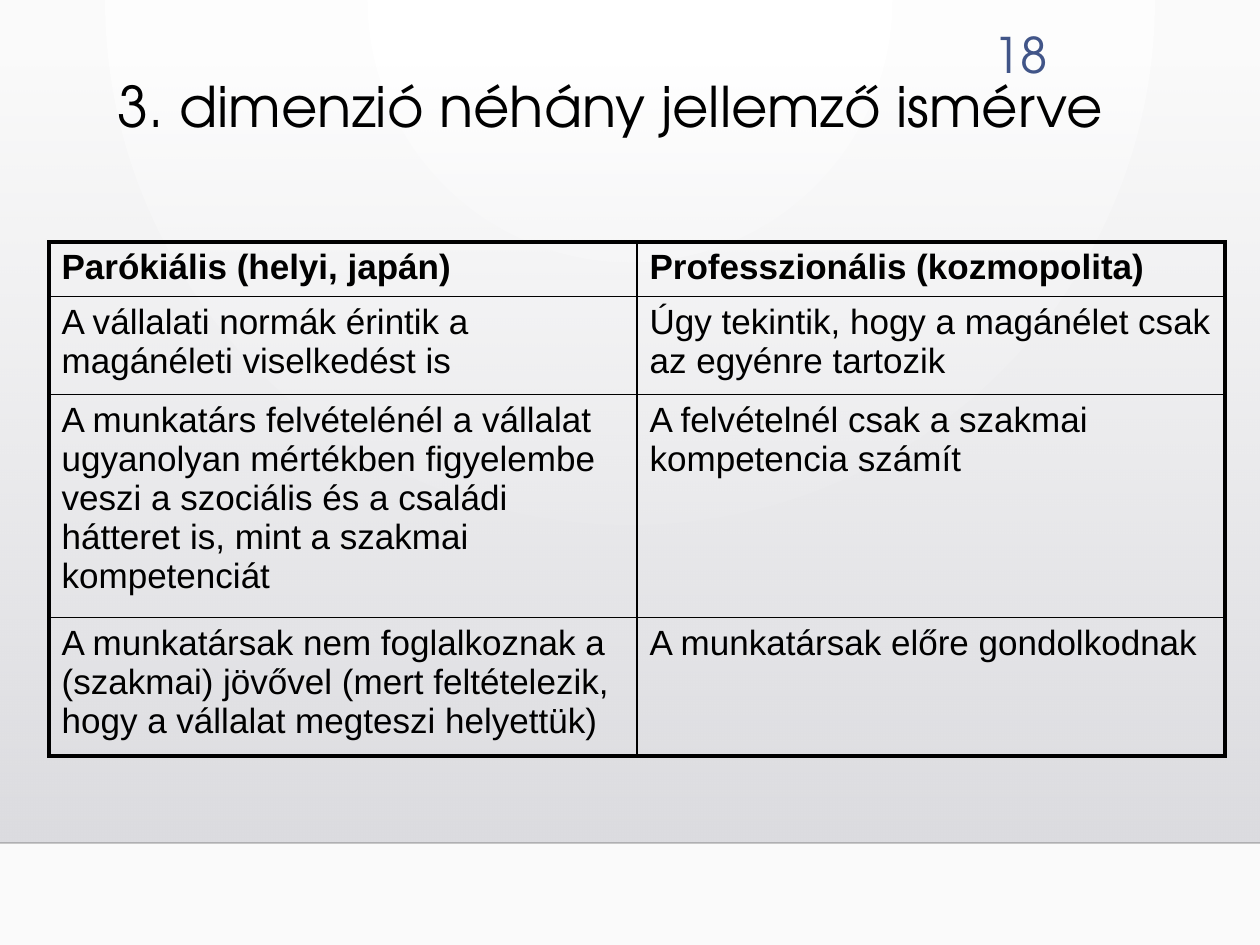
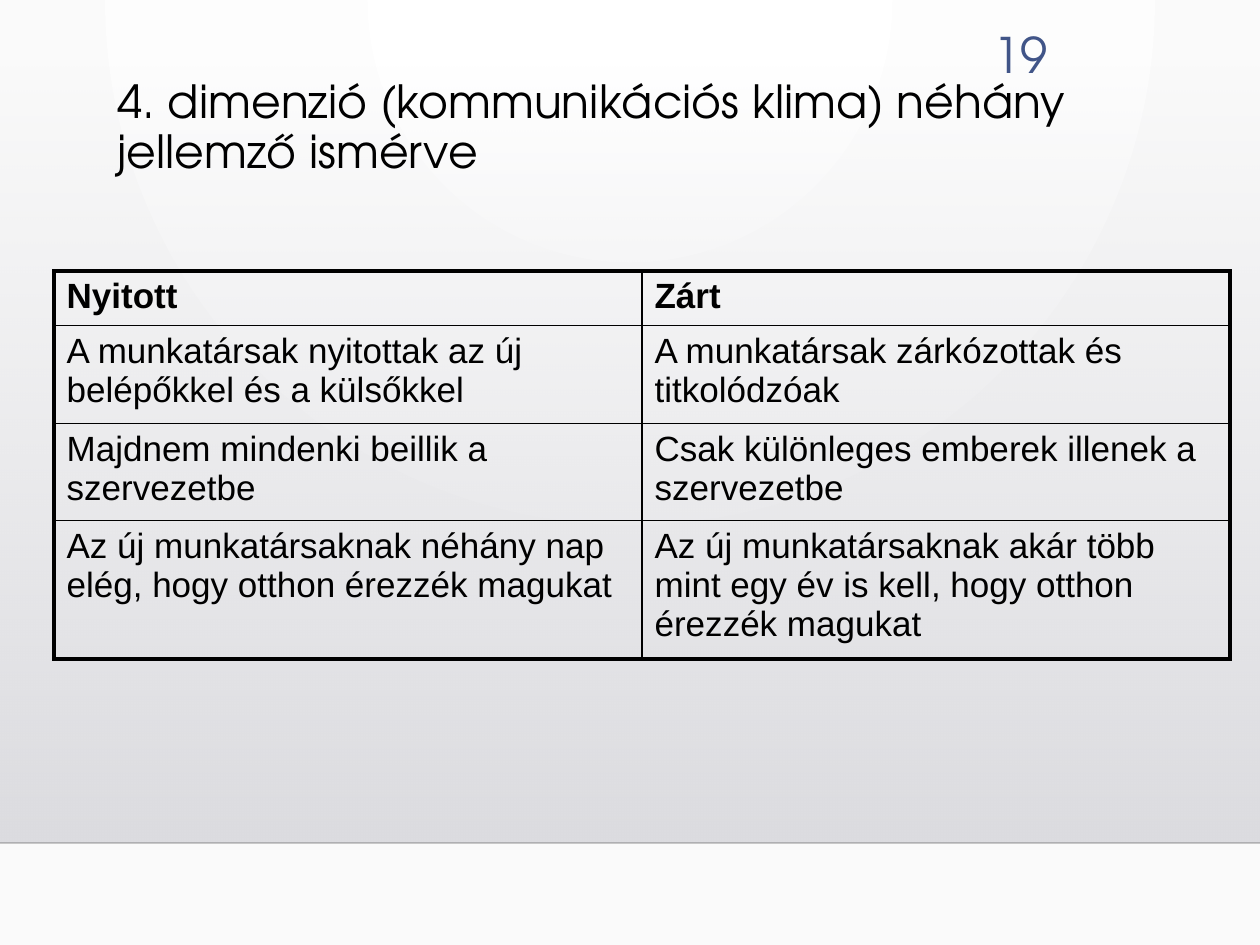
import pptx
import pptx.util
import pptx.dml.color
import pptx.enum.shapes
import pptx.enum.text
import pptx.oxml
import pptx.oxml.ns

PX = 914400 // 126
W, H = 1260, 945
RGB = pptx.dml.color.RGBColor
BLACK = RGB(0, 0, 0)
WHITE = RGB(0xFF, 0xFF, 0xFF)
PAPER = RGB(0xFA, 0xFA, 0xFA)
PANEL_TOP = RGB(0xDC, 0xDC, 0xE0)
PANEL_BOTTOM = RGB(0xDE, 0xDE, 0xE2)
RULE = RGB(0, 0, 1)
NUMBER_BLUE = RGB(0x41, 0x55, 0x88)
HEAD_FONT, BODY_FONT = "TeX Gyre Adventor", "Arial"
NS = pptx.oxml.ns.nsdecls("a")
THIN, THICK = 12700, 28575
COL_W = 588

# number, title, title size, table left and top, row heights, rows
SLIDES = [
    ("18", "3. dimenzió néhány jellemző ismérve", 32, 49, 242, (52, 98, 208, 130), [
        ("Parókiális (helyi, japán)", "Professzionális (kozmopolita)"),
        ("A vállalati normák érintik a magánéleti viselkedést is",
         "Úgy tekintik, hogy a magánélet csak az egyénre tartozik"),
        ("A munkatárs felvételénél a vállalat ugyanolyan mértékben figyelembe veszi "
         "a szociális és a családi hátteret is, mint a szakmai kompetenciát",
         "A felvételnél csak a szakmai kompetencia számít"),
        ("A munkatársak nem foglalkoznak a (szakmai) jövővel (mert feltételezik, "
         "hogy a vállalat megteszi helyettük)",
         "A munkatársak előre gondolkodnak"),
    ]),
    ("19", "4. dimenzió (kommunikációs klima) néhány jellemző ismérve", 26.1, 54, 271,
     (52, 98, 91, 130), [
        ("Nyitott", "Zárt"),
        ("A munkatársak nyitottak az új belépőkkel és a külsőkkel",
         "A munkatársak zárkózottak és titkolódzóak"),
        ("Majdnem mindenki beillik a szervezetbe",
         "Csak különleges emberek illenek a szervezetbe"),
        ("Az új munkatársaknak néhány nap elég, hogy otthon érezzék magukat",
         "Az új munkatársaknak akár több mint egy év is kell, hogy otthon érezzék magukat"),
    ]),
]


def add_text(s, box, text, size, color):
    """Add a heading-font text box and return its paragraph."""
    tf = s.shapes.add_textbox(*(v * PX for v in box)).text_frame
    tf.word_wrap = True
    tf.vertical_anchor = pptx.enum.text.MSO_ANCHOR.TOP
    p = tf.paragraphs[0]
    p.text = text
    p.font.name = HEAD_FONT
    p.font.size = pptx.util.Pt(size)
    p.font.color.rgb = color
    return p


def set_alpha(sp, percent):
    """Set the opacity of the first colour in a shape's properties."""
    clr = sp._element.spPr.xpath(".//a:srgbClr")[0]
    clr.append(pptx.oxml.parse_xml(f'<a:alpha {NS} val="{percent * 1000}"/>'))


prs = pptx.Presentation()
prs.slide_width, prs.slide_height = W * PX, H * PX

for number, title, title_size, left, top, heights, rows in SLIDES:
    s = prs.slides.add_slide(prs.slide_layouts[6])

    # Background: light circles spreading from the top centre
    fill = s.background.fill
    fill.gradient()
    for stop, color in zip(fill.gradient_stops, (WHITE, PAPER)):
        stop.color.rgb = color
    lin = s._element.xpath("./p:cSld/p:bg//a:lin")[0]
    lin.getparent().replace(lin, pptx.oxml.parse_xml(
        f'<a:path {NS} path="circle">'
        '<a:fillToRect l="43000" t="0" r="43000" b="100000"/></a:path>'))

    # Grey panel fading in downwards, with a rule along its foot
    sp = s.shapes.add_shape(pptx.enum.shapes.MSO_SHAPE.RECTANGLE,
                            0, 64 * PX, W * PX, 779 * PX)
    sp.shadow.inherit = False
    sp.line.fill.background()
    sp.fill.gradient()
    sp.fill.gradient_angle = 270
    for stop, color in zip(sp.fill.gradient_stops, (PANEL_TOP, PANEL_BOTTOM)):
        stop.color.rgb = color
    set_alpha(sp, 0)

    rule = s.shapes.add_connector(pptx.enum.shapes.MSO_CONNECTOR.STRAIGHT,
                                  0, 843 * PX, W * PX, 843 * PX)
    rule.line.width = pptx.util.Pt(1)
    rule.line.color.rgb = RULE
    set_alpha(rule, 20)
    rule._element.spPr.append(pptx.oxml.parse_xml(f"<a:effectLst {NS}/>"))

    p = add_text(s, (950, 18, 110, 69), number, 28, NUMBER_BLUE)
    p.alignment = pptx.enum.text.PP_ALIGN.RIGHT
    p = add_text(s, (105, 73, 1061, 116), title, title_size, BLACK)
    p.line_spacing = 0.9

    # Table: thick frame, thin inner lines, bold first row
    table = s.shapes.add_table(len(rows), 2, left * PX, top * PX,
                               2 * COL_W * PX, sum(heights) * PX).table
    table.first_row = table.horz_banding = False
    for col in table.columns:
        col.width = COL_W * PX
    for i, (height, texts) in enumerate(zip(heights, rows)):
        table.rows[i].height = height * PX
        for j, text in enumerate(texts):
            cell = table.cell(i, j)
            cell.fill.background()
            p = cell.text_frame.paragraphs[0]
            p.text = text
            p.font.name = BODY_FONT
            p.font.size = pptx.util.Pt(20)
            p.font.bold = i == 0
            p.font.color.rgb = BLACK
            outer = {"L": j == 0, "R": j == 1, "T": i == 0, "B": i == len(rows) - 1}
            tcPr = cell._tc.get_or_add_tcPr()
            for k, (side, thick) in enumerate(outer.items()):
                tcPr.insert(k, pptx.oxml.parse_xml(
                    f'<a:ln{side} {NS} w="{THICK if thick else THIN}"><a:solidFill>'
                    f'<a:srgbClr val="{BLACK}"/></a:solidFill></a:ln{side}>'))

prs.save("out.pptx")
